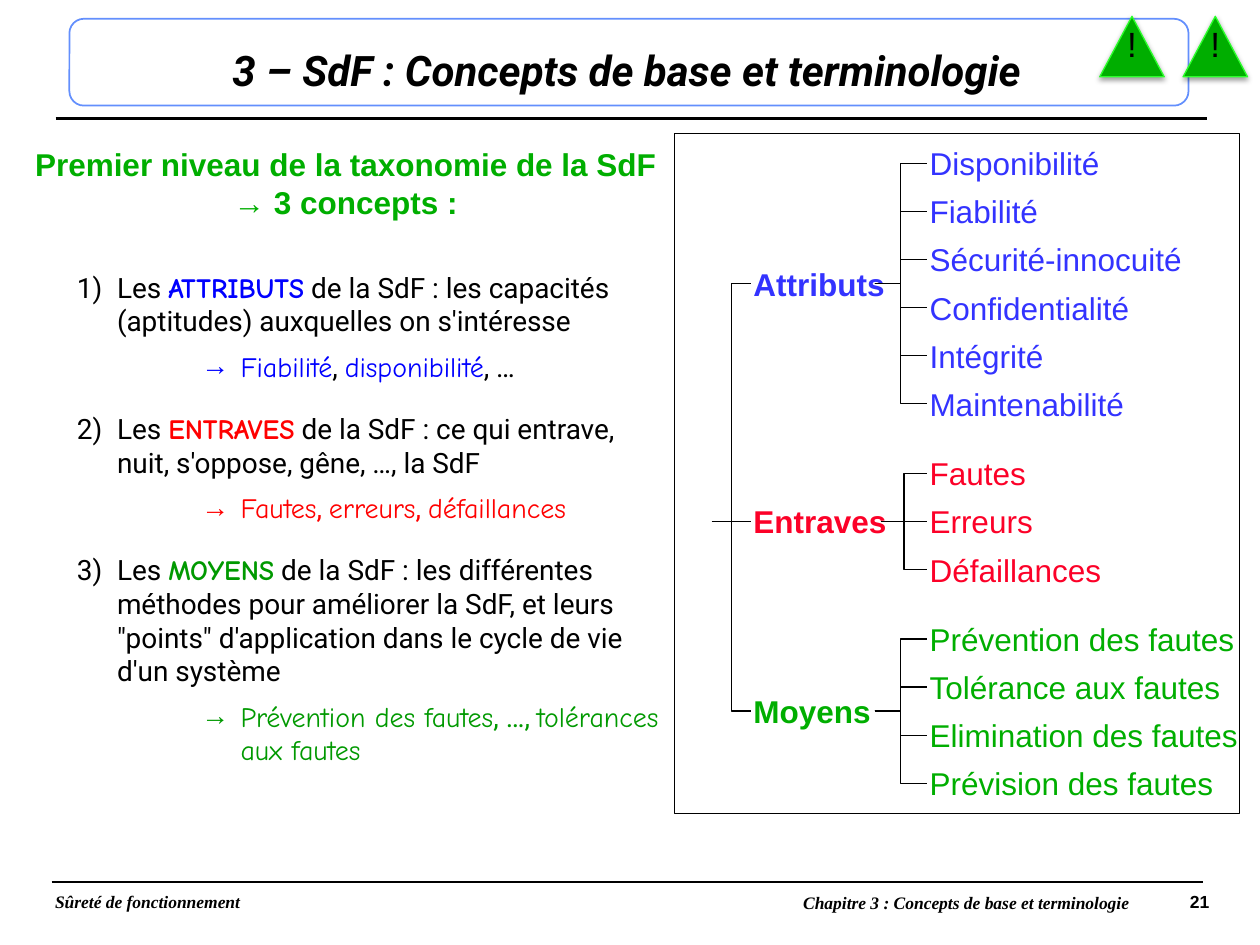
from lxml import etree
from pptx import Presentation
from pptx.dml.color import RGBColor
from pptx.enum.shapes import MSO_CONNECTOR, MSO_SHAPE
from pptx.enum.text import MSO_ANCHOR, MSO_AUTO_SIZE, PP_ALIGN
from pptx.oxml.ns import qn
from pptx.util import Cm, Pt

STRAIGHT, ELBOW = MSO_CONNECTOR.STRAIGHT, MSO_CONNECTOR.ELBOW
RECTANGLE, ROUNDED, TRAPEZOID = MSO_SHAPE.RECTANGLE, MSO_SHAPE.ROUNDED_RECTANGLE, MSO_SHAPE.TRAPEZOID
TOP, MIDDLE = MSO_ANCHOR.TOP, MSO_ANCHOR.MIDDLE
LEFT, CENTER, RIGHT = PP_ALIGN.LEFT, PP_ALIGN.CENTER, PP_ALIGN.RIGHT
NO_FIT = MSO_AUTO_SIZE.NONE

BLACK = RGBColor(0x00, 0x00, 0x00)
BLUE = RGBColor(0x00, 0x00, 0xFF)
RED = RGBColor(0xFF, 0x00, 0x00)
DARK_GREEN = RGBColor(0x00, 0x99, 0x00)
TREE_BLUE = RGBColor(0x33, 0x33, 0xFF)
TREE_RED = RGBColor(0xFC, 0x01, 0x28)
GREEN = RGBColor(0x00, 0xAE, 0x00)
LIGHT_GREEN = RGBColor(0x2B, 0xFF, 0x2B)
FRAME_BLUE = RGBColor(0x63, 0x8F, 0xFD)

SANS, SERIF, BODY, ACCENT = "Arial", "Times New Roman", "Roboto", "Comic Neue"

CONCEPTS = [
    ("ATTRIBUTS", " de la SdF : les capacités (aptitudes) auxquelles on s'intéresse",
     BLUE, BLACK, ["Fiabilité", ", ", "disponibilité", ", …"]),
    ("ENTRAVES", " de la SdF : ce qui entrave, nuit, s'oppose, gêne, …, la SdF",
     RED, RED, ["Fautes", ", ", "erreurs", ", ", "défaillances"]),
    ("MOYENS", " de la SdF : les différentes méthodes pour améliorer la SdF, et leurs "
     "\"points\" d'application dans le cycle de vie d'un système",
     DARK_GREEN, DARK_GREEN, ["Prévention des fautes", ", …, ", "tolérances aux fautes"]),
]
BRANCHES = [
    ("Attributs", 2.49, TREE_BLUE,
     [("Disponibilité", 4.45), ("Fiabilité", 3.25), ("Sécurité-innocuité", 5.21),
      ("Confidentialité", 5.03), ("Intégrité", 3.35), ("Maintenabilité", 3.99)]),
    ("Entraves", 2.62, TREE_RED,
     [("Fautes", 3), ("Erreurs", 3.12), ("Défaillances", 4.47)]),
    ("Moyens", 2.49, GREEN,
     [("Prévention des fautes", 6.3), ("Tolérance aux fautes", 6.02),
      ("Elimination des fautes", 6.25), ("Prévision des fautes", 5.77)]),
]
FIRST_ROW, ROW_STEP, BRANCH_STEP = 3.29, 0.97, 1.4
ROOT_X, BRANCH_X, LEAF_X, LABEL_HEIGHT = 14.35, 15.14, 18.69, 1.42


def add_span(para, text, size, font, color, bold=False, italic=False):
    """Append one formatted run to a paragraph."""
    span = para.add_run()
    span.text = text
    span.font.size, span.font.name = Pt(size), font
    span.font.bold, span.font.italic = bold, italic
    span.font.color.rgb = color


def set_frame(box, margins, anchor=TOP, wrap=True):
    """Set margins, anchor and wrapping, and return the first paragraph."""
    frame = box.text_frame
    frame.auto_size, frame.word_wrap, frame.vertical_anchor = NO_FIT, wrap, anchor
    frame.margin_left = frame.margin_right = Cm(margins[0])
    frame.margin_top = frame.margin_bottom = Cm(margins[1])
    return frame.paragraphs[0]


def place(shape, left, top, width, height):
    """Move and size a shape, in centimetres."""
    shape.left, shape.top, shape.width, shape.height = Cm(left), Cm(top), Cm(width), Cm(height)


def add_box(page, left, top, width, height, margins, **options):
    """Add a text box and return its first paragraph with the box."""
    box = page.shapes.add_textbox(Cm(left), Cm(top), Cm(width), Cm(height))
    return set_frame(box, margins, **options), box


def add_outline(page, kind, left, top, width, height, color, weight):
    """Add an unfilled preset shape with a coloured outline."""
    shape = page.shapes.add_shape(kind, Cm(left), Cm(top), Cm(width), Cm(height))
    shape.shadow.inherit = False
    shape.fill.background()
    shape.line.color.rgb, shape.line.width = color, Pt(weight)
    return shape


def add_line(page, start, end, weight, kind=STRAIGHT):
    """Add a black connector without shadow."""
    line = page.shapes.add_connector(kind, Cm(start[0]), Cm(start[1]), Cm(end[0]), Cm(end[1]))
    line.line.color.rgb, line.line.width = BLACK, Pt(weight)
    etree.SubElement(line._element.spPr, qn("a:effectLst"))
    return line


def set_list(para, level, margin, indent, before, font=None, color=None, **bullet):
    """Give a paragraph its level, hanging indent, bullet and spacing."""
    props = para._p.get_or_add_pPr()
    props.set("marL", str(Cm(margin)))
    props.set("indent", str(Cm(indent)))
    if color is not None:
        holder = etree.SubElement(props, qn("a:buClr"))
        etree.SubElement(holder, qn("a:srgbClr"), val=str(color))
    if font:
        etree.SubElement(props, qn("a:buFont"), typeface=font)
    kind = "a:buChar" if "char" in bullet else "a:buAutoNum" if bullet else "a:buNone"
    etree.SubElement(props, qn(kind), **bullet)
    para.level = level
    para.space_before, para.space_after = Pt(before), Pt(0)


def fill_concepts(body):
    """Write the heading and the numbered concepts in the body placeholder."""
    place(body, 0.43, 2.82, 13.08, 13.13)
    para = set_frame(body, (0.1, 0.1))
    set_list(para, 0, 0, 0, 0)
    para.alignment = CENTER
    add_span(para, "Premier niveau de la taxonomie de la SdF → 3 concepts :", 18, SANS, GREEN, True)
    for number, (name, meaning, color, separator_color, examples) in enumerate(CONCEPTS, 1):
        para = body.text_frame.add_paragraph()
        set_list(para, 1, 1.83, -0.81, 28.5 if number == 1 else 16.4, BODY, BLACK,
                 type="arabicParenR", startAt=str(number))
        add_span(para, "Les ", 16, BODY, BLACK)
        add_span(para, name, 16, ACCENT, color, True)
        add_span(para, meaning, 16, BODY, BLACK)
        para = body.text_frame.add_paragraph()
        set_list(para, 3, 4.32, -0.79, 6.8, SANS, color, char="→")
        for index, text in enumerate(examples):
            separator = index % 2
            add_span(para, text, 16, BODY if separator else ACCENT,
                     separator_color if separator else color)


def add_label(page, text, left, middle, width, color, bold=False):
    """Add a tree label centred on a height."""
    para, box = add_box(page, left, middle - LABEL_HEIGHT / 2, width, LABEL_HEIGHT,
                        (0.05, 0.03), anchor=MIDDLE, wrap=False)
    para.alignment = LEFT
    add_span(para, text, 18, SANS, color, bold)
    return box


def add_link(page, start, end, target, source=None):
    """Join a tree label to its parent, straight when they are level."""
    kind = STRAIGHT if abs(start[1] - end[1]) < 0.01 else ELBOW
    link = add_line(page, start, end, 0.75, kind)
    if source is not None:
        link.begin_connect(source, 3)
    link.end_connect(target, 1)


def add_tree(page):
    """Draw the framed taxonomy tree."""
    top, branches = FIRST_ROW, []
    for name, width, color, leaves in BRANCHES:
        middle = top + ROW_STEP * (len(leaves) - 1) / 2
        branch = add_label(page, name, BRANCH_X, middle, width, color, True)
        branches.append((branch, middle))
        for row, (text, leaf_width) in enumerate(leaves):
            height = top + row * ROW_STEP
            leaf = add_label(page, text, LEAF_X, height, leaf_width, color)
            add_link(page, (BRANCH_X + width, middle), (LEAF_X, height), leaf, branch)
        top += ROW_STEP * (len(leaves) - 1) + BRANCH_STEP
    root_y = branches[1][1]
    for branch, middle in branches:
        add_link(page, (ROOT_X, root_y), (BRANCH_X, middle), branch)
    add_outline(page, RECTANGLE, 13.59, 2.69, 11.4, 13.72, BLACK, 0.5)


def add_warning(page, left):
    """Add a green warning triangle with its exclamation mark."""
    area = (left, 0.33, 1.3, 1.22)
    sign = add_outline(page, TRAPEZOID, *area, LIGHT_GREEN, 0.75)
    sign.adjustments[0] = 0.533
    sign.fill.solid()
    sign.fill.fore_color.rgb = GREEN
    effects = sign._element.spPr.find(qn("a:effectLst"))
    shadow = etree.SubElement(effects, qn("a:outerShdw"), blurRad=str(Pt(3.1)), dist=str(Pt(1.6)),
                              dir="5400000", rotWithShape="0")
    tint = etree.SubElement(shadow, qn("a:srgbClr"), val=str(BLACK))
    etree.SubElement(tint, qn("a:alpha"), val="38000")
    para, _ = add_box(page, *area, (0.08, 0.08), anchor=MIDDLE)
    para.alignment, para.line_spacing = CENTER, 0.9
    add_span(para, "!", 20, SANS, BLACK)


def add_footer(page):
    """Add the footer rule, course name, chapter and page number."""
    add_line(page, (1.04, 17.78), (24.26, 17.78), 1)
    para, _ = add_box(page, 0.86, 17.75, 24.16, 0.79, (0.25, 0.13))
    tabs = etree.SubElement(para._p.get_or_add_pPr(), qn("a:tabLst"))
    etree.SubElement(tabs, qn("a:tab"), pos=str(Cm(23.27)), algn="r")
    para.line_spacing = 0.9
    add_span(para, "Sûreté de fonctionnement", 10, SERIF, BLACK, True, True)
    add_span(para, "\t", 14, SANS, BLACK, True)
    add_span(para, "21", 10, SANS, BLACK, True)
    para, _ = add_box(page, 16.05, 17.88, 6.81, 0.64, (0.1, 0.1), wrap=False)
    para.alignment = RIGHT
    add_span(para, "Chapitre 3 : Concepts de base et terminologie", 10, SERIF, BLACK, True, True)


def main():
    """Build the slide and save it."""
    deck = Presentation()
    deck.slide_width, deck.slide_height = Cm(25.4), Cm(19.05)
    page = deck.slides.add_slide(deck.slide_layouts[1])
    title, body = page.placeholders
    place(title, 0.99, 0.79, 23.29, 1.22)
    para = set_frame(title, (0.1, 0.1), MIDDLE)
    para.alignment = CENTER
    add_span(para, "3 – SdF : Concepts de base et terminologie", 24, BODY, BLACK, True, True)
    add_line(page, (1.12, 2.39), (24.33, 2.39), 2)
    fill_concepts(body)
    add_tree(page)
    add_outline(page, ROUNDED, 1.4, 0.38, 22.56, 1.75, FRAME_BLUE, 1)
    for left in (23.85, 22.17):
        add_warning(page, left)
    add_footer(page)
    deck.save("out.pptx")


if __name__ == "__main__":
    main()
